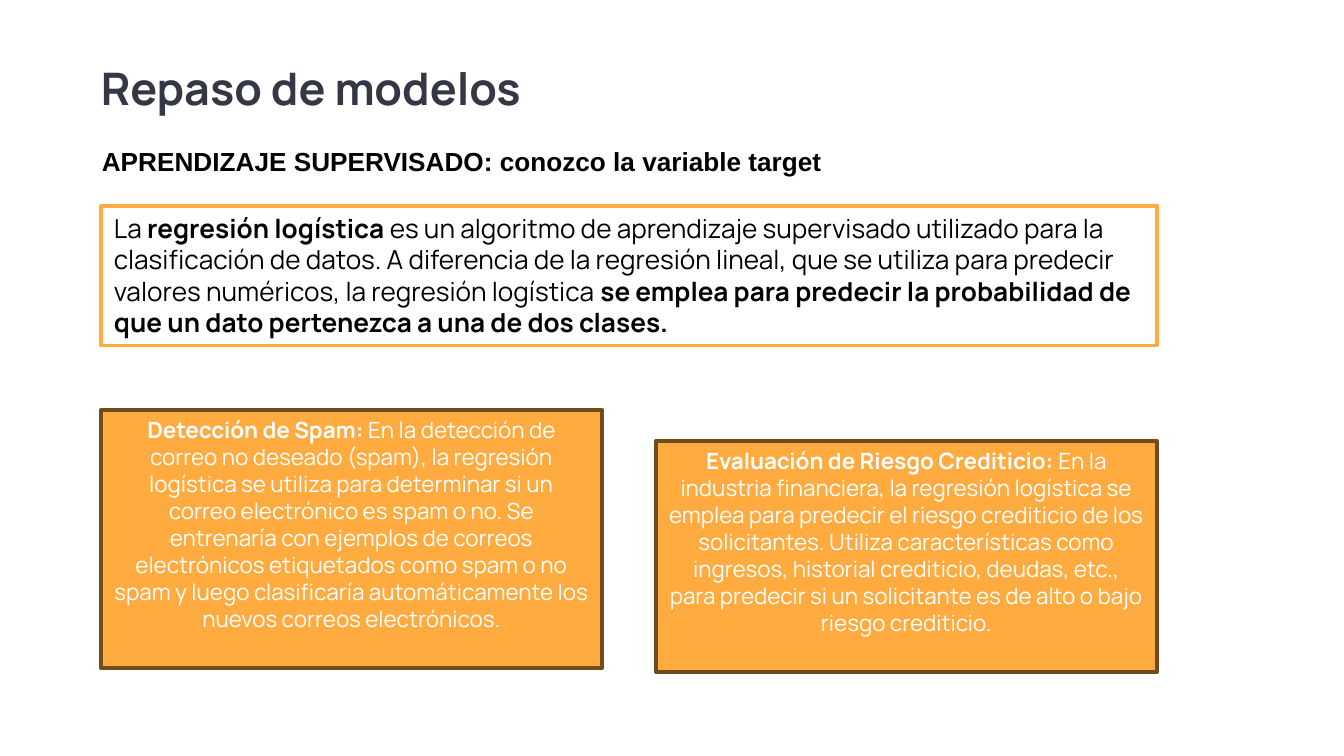
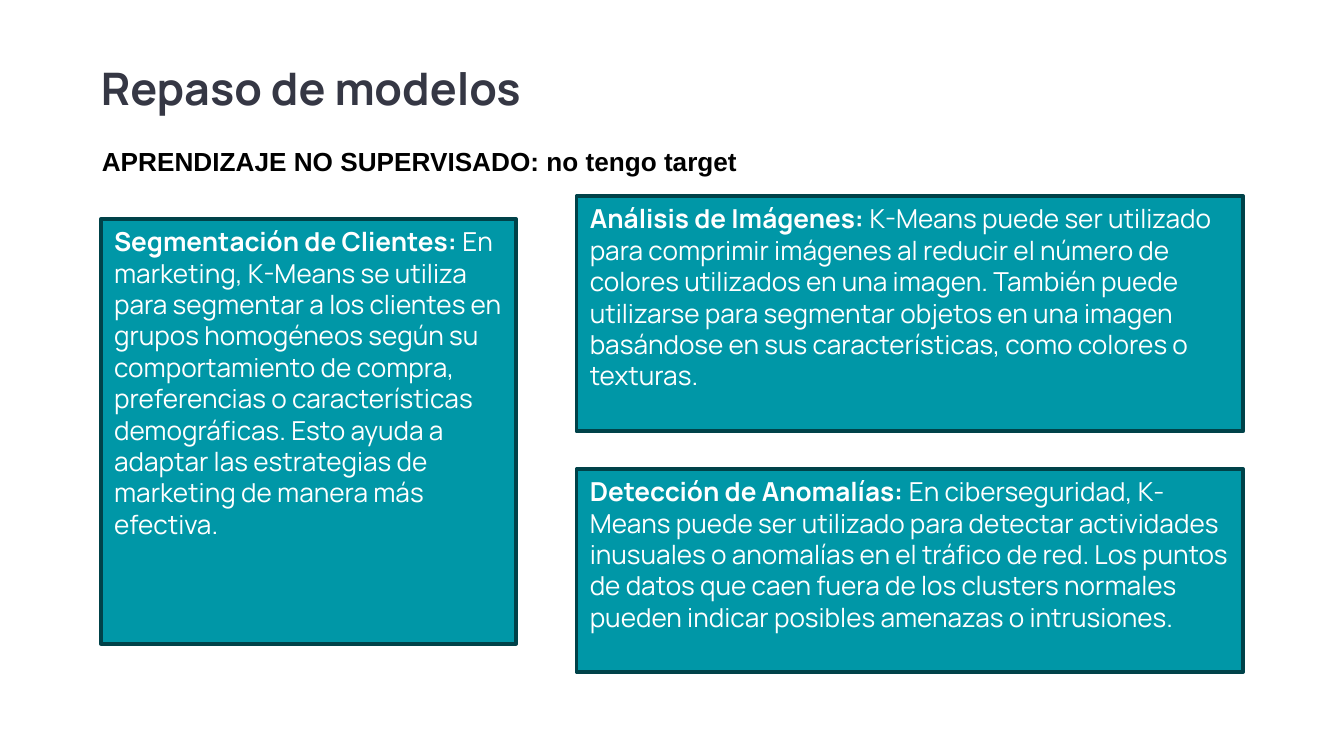
"""Builds two review slides on supervised and unsupervised models."""
from pptx import Presentation
from pptx.dml import color
from pptx.enum import shapes, text
from pptx.util import Pt

FONT = "Manrope"
TITLE = "Repaso de modelos"
LEFT, RIGHT_COLUMN = 54, 308.9
WIDE, HALF = 565.9, 268.6

STYLES = {
    "definition": dict(fill="FFFFFF", line="FFAB40", ink="000000", size=14, align="LEFT"),
    "supervised": dict(fill="FFAB40", line="704B1C", ink="FFFFFF", size=12, align="CENTER"),
    "unsupervised": dict(fill="0097A7", line="004249", ink="FFFFFF", size=14, align="LEFT"),
}

SLIDES = [
    {
        "subtitle": ("APRENDIZAJE SUPERVISADO: conozco la variable target", 573.1),
        "cards": [
            ("definition", (LEFT, 110.2, WIDE, 74.9), [
                ("La ", False),
                ("regresión logística ", True),
                ("es un algoritmo de aprendizaje supervisado utilizado para la "
                 "clasificación de datos. A diferencia de la regresión lineal, que se "
                 "utiliza para predecir valores numéricos, la regresión logística ", False),
                ("se emplea para predecir la probabilidad de que un dato pertenezca "
                 "a una de dos clases.", True),
            ]),
            ("supervised", (LEFT, 219.6, HALF, 138.2), [
                ("Detección de Spam: ", True),
                ("En la detección de correo no deseado (spam), la regresión logística se "
                 "utiliza para determinar si un correo electrónico es spam o no. Se "
                 "entrenaría con ejemplos de correos electrónicos etiquetados como spam o "
                 "no spam y luego clasificaría automáticamente los nuevos correos "
                 "electrónicos.", False),
            ]),
            ("supervised", (LEFT + WIDE - HALF, 236.2, HALF, 123.8), [
                ("Evaluación de Riesgo Crediticio: ", True),
                ("En la industria financiera, la regresión logística se emplea para "
                 "predecir el riesgo crediticio de los solicitantes. Utiliza "
                 "características como ingresos, historial crediticio, deudas, etc., para "
                 "predecir si un solicitante es de alto o bajo riesgo crediticio.", False),
            ]),
        ],
    },
    {
        "subtitle": ("APRENDIZAJE NO SUPERVISADO: no tengo target", 465.1),
        "cards": [
            ("unsupervised", (LEFT, 117.4, 222.5, 227.5), [
                ("Segmentación de Clientes: ", True),
                ("En marketing, K-Means se utiliza para segmentar a los clientes en "
                 "grupos homogéneos según su comportamiento de compra, preferencias o "
                 "características demográficas. Esto ayuda a adaptar las estrategias de "
                 "marketing de manera más efectiva.", False),
            ]),
            ("unsupervised", (RIGHT_COLUMN, 105.1, 357.1, 126), [
                ("Análisis de Imágenes: ", True),
                ("K-Means puede ser utilizado para comprimir imágenes al reducir el "
                 "número de colores utilizados en una imagen. También puede utilizarse "
                 "para segmentar objetos en una imagen basándose en sus características, "
                 "como colores o texturas.", False),
            ]),
            ("unsupervised", (RIGHT_COLUMN, 251.3, 357.1, 108.7), [
                ("Detección de Anomalías: ", True),
                ("En ciberseguridad, K-Means puede ser utilizado para detectar "
                 "actividades inusuales o anomalías en el tráfico de red. Los puntos de "
                 "datos que caen fuera de los clusters normales pueden indicar posibles "
                 "amenazas o intrusiones.", False),
            ]),
        ],
    },
]


def rgb(value):
    return color.RGBColor.from_string(value)


def write(shape, runs, size, ink, font=FONT, align="LEFT"):
    frame = shape.text_frame
    frame.word_wrap = True
    frame.auto_size = text.MSO_AUTO_SIZE.NONE
    frame.vertical_anchor = text.MSO_ANCHOR.TOP
    paragraph = frame.paragraphs[0]
    paragraph.alignment = getattr(text.PP_ALIGN, align)
    for words, bold in runs:
        run = paragraph.add_run()
        run.text = words
        run.font.name, run.font.size, run.font.bold = font, Pt(size), bold
        run.font.color.rgb = rgb(ink)
    return frame


def add_title(slide):
    title = slide.shapes.title
    title.left, title.top, title.width, title.height = map(Pt, (LEFT, 36, 535.7, 31))
    frame = write(title, [(TITLE, True)], 24, "353744")
    frame.margin_left = frame.margin_top = frame.margin_right = frame.margin_bottom = 0
    frame.paragraphs[0].line_spacing = 0.9


def add_subtitle(slide, words, width):
    box = slide.shapes.add_textbox(*map(Pt, (47.5, 74.2, width, 24.5)))
    write(box, [(words, True)], 14, "000000", "Arial")


def add_card(slide, style, place, runs):
    look = STYLES[style]
    card = slide.shapes.add_shape(shapes.MSO_SHAPE.RECTANGLE, *map(Pt, place))
    card.shadow.inherit = False
    card.fill.solid()
    card.fill.fore_color.rgb = rgb(look["fill"])
    card.line.color.rgb = rgb(look["line"])
    card.line.width = Pt(2)
    write(card, runs, look["size"], look["ink"], align=look["align"])


def main():
    presentation = Presentation()
    presentation.slide_width, presentation.slide_height = Pt(720), Pt(405)
    title_only = presentation.slide_layouts[5]
    for content in SLIDES:
        slide = presentation.slides.add_slide(title_only)
        add_title(slide)
        add_subtitle(slide, *content["subtitle"])
        for card in content["cards"]:
            add_card(slide, *card)
    presentation.save("out.pptx")


if __name__ == "__main__":
    main()
